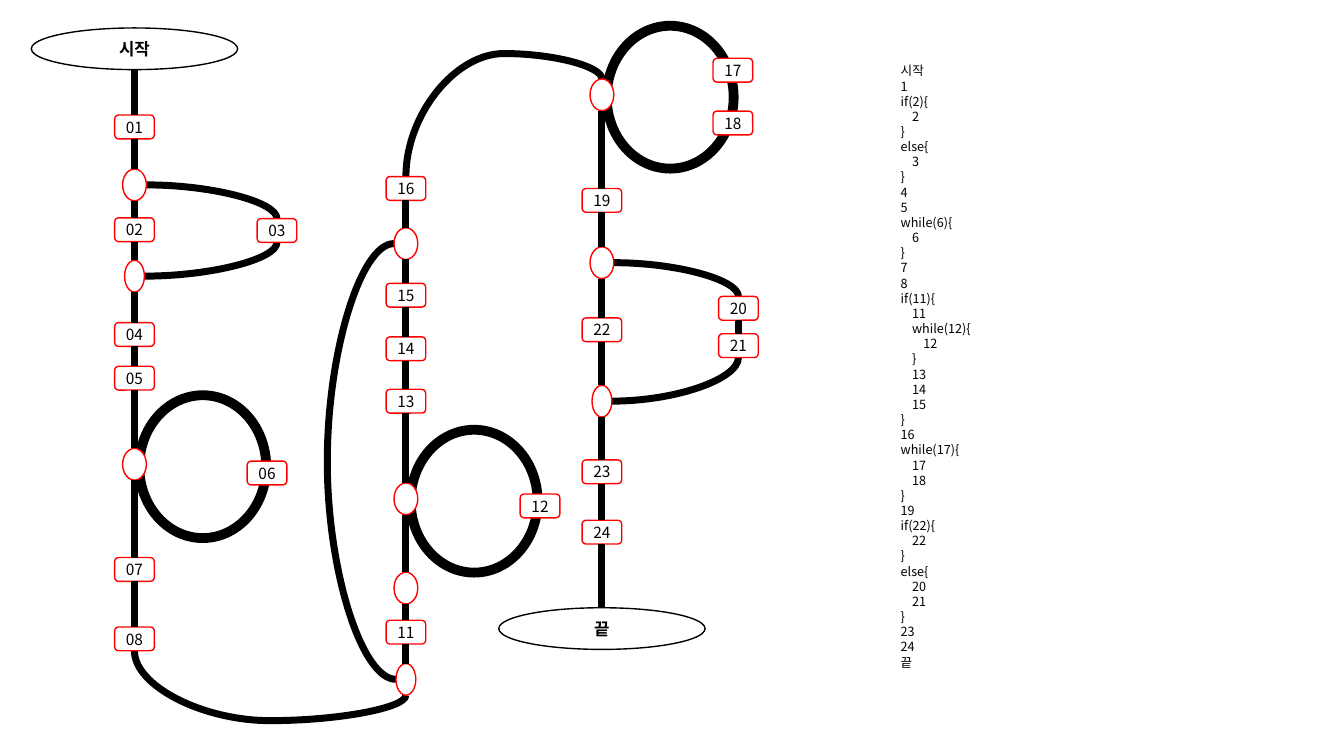
from lxml import etree
from pptx import Presentation
from pptx.dml.color import RGBColor
from pptx.enum.shapes import MSO_CONNECTOR, MSO_SHAPE
from pptx.enum.text import MSO_ANCHOR, MSO_AUTO_SIZE, PP_ALIGN
from pptx.oxml.ns import qn
from pptx.util import Cm, Pt

ELLIPSE, ROUNDED = MSO_SHAPE.OVAL, MSO_SHAPE.ROUNDED_RECTANGLE
STRAIGHT, CURVE = MSO_CONNECTOR.STRAIGHT, MSO_CONNECTOR.CURVE
MIDDLE, CENTER = MSO_ANCHOR.MIDDLE, PP_ALIGN.CENTER
FIT_SHAPE = MSO_AUTO_SIZE.SHAPE_TO_FIT_TEXT

BLACK = RGBColor(0x00, 0x00, 0x00)
WHITE = RGBColor(0xFF, 0xFF, 0xFF)
RED = RGBColor(0xFF, 0x00, 0x00)

# Sizes in cm
STEP_W, STEP_H = 1.0, 0.6
FORK_W, JOIN_W, NODE_H = 0.6, 0.5, 0.8
LOOP_DX, LOOP_DY = 1.72, 0.06

# Columns: x, then (kind or label, y) from top to bottom
X1, X2, X3 = 3.39, 10.23, 15.17
COLUMNS = [
    (X1, [("시작", 1.23), ("01", 3.2), ("fork", 4.66), ("02", 5.79),
          ("join", 6.96), ("04", 8.43), ("05", 9.53), ("loop", 11.7),
          ("07", 14.35), ("08", 16.1)]),
    (X2, [("16", 4.75), ("fork", 6.14), ("15", 7.44), ("14", 8.79),
          ("13", 10.11), ("loop", 12.57), ("fork", 14.82), ("11", 15.93),
          ("join", 17.12)]),
    (X3, [("loop", 2.39), ("19", 5.05), ("fork", 6.62), ("22", 8.31),
          ("join", 10.11), ("23", 11.89), ("24", 13.41), ("끝", 15.84)]),
]
SIDE_STEPS = [("03", 6.98, 5.81), ("06", 6.73, 11.92), ("12", 13.61, 12.75),
              ("17", 18.47, 1.77), ("18", 18.47, 3.1),
              ("20", 18.61, 7.77), ("21", 18.61, 8.71)]
# Branches: column x, fork y, join y, side x, top and bottom step y
BRANCHES = [(X1, 4.66, 6.96, 6.98, 5.81, 5.81),
            (X3, 6.62, 10.11, 18.61, 7.77, 8.71)]

CODE = """시작
1
if(2){
    2
}
else{
    3
}
4
5
while(6){
    6
}
7
8
if(11){
    11
    while(12){
        12
    }
    13
    14
    15
}
16
while(17){
    17
    18
}
19
if(22){
    22
}
else{
    20
    21
}
23
24
끝"""


class FlowSlide:
    font = "Noto Sans CJK KR"
    path_width = Pt(5)

    def __init__(self, s):
        self.s = s

    def style(self, p, size, bold=False):
        p.font.size, p.font.bold, p.font.name = Pt(size), bold, self.font
        p.font.color.rgb = BLACK
        props = p._p.pPr.find(qn("a:defRPr"))
        etree.SubElement(props, qn("a:ea")).set("typeface", self.font)

    def shape(self, kind, x, y, w, h, line, width, fill=None):
        sp = self.s.shapes.add_shape(kind, Cm(x - w / 2), Cm(y - h / 2), Cm(w), Cm(h))
        sp.shadow.inherit = False
        sp.line.color.rgb, sp.line.width = line, Pt(width)
        if fill is None:
            sp.fill.background()
        else:
            sp.fill.solid()
            sp.fill.fore_color.rgb = fill
        return sp

    def label(self, sp, text, size, bold=False):
        tf = sp.text_frame
        tf.margin_left = tf.margin_right = tf.margin_top = tf.margin_bottom = 0
        tf.vertical_anchor = MIDDLE
        p = tf.paragraphs[0]
        p.text, p.alignment = text, CENTER
        self.style(p, size, bold)
        return sp

    def step(self, text, x, y):
        sp = self.shape(ROUNDED, x, y, STEP_W, STEP_H, RED, 1, WHITE)
        return self.label(sp, text, 11)

    def terminal(self, text, x, y):
        return self.label(self.shape(ELLIPSE, x, y, 5.2, 1.05, BLACK, 1), text, 12, True)

    def node(self, x, y, w):
        return self.shape(ELLIPSE, x, y, w, NODE_H, RED, 1, WHITE)

    def loop(self, x, y):
        self.shape(ELLIPSE, x + LOOP_DX, y + LOOP_DY, 3.2, 3.6, BLACK, 7)

    def item(self, name, x, y):
        if name.isdigit():
            return self.step(name, x, y)
        if name in ("fork", "loop", "join"):
            return self.node(x, y, JOIN_W if name == "join" else FORK_W)
        return self.terminal(name, x, y)

    def connector(self, kind, *ends):
        c = self.s.shapes.add_connector(kind, *ends)
        c.line.color.rgb, c.line.width = BLACK, self.path_width
        etree.SubElement(c._element.spPr, qn("a:effectLst"))
        return c

    def link(self, upper, lower):
        c = self.connector(STRAIGHT, upper.left + upper.width // 2, upper.top + upper.height,
                           lower.left + lower.width // 2, lower.top)
        if upper.auto_shape_type == ROUNDED:
            c.begin_connect(upper, 2)
        if lower.auto_shape_type == ROUNDED:
            c.end_connect(lower, 0)

    def quarter_curve(self, x1, y1, x2, y2):
        c = self.connector(CURVE, Cm(x1), Cm(y1), Cm(x2), Cm(y2))
        c._element.spPr.find(qn("a:prstGeom")).set("prst", "curvedConnector2")

    def bent_curve(self, x1, y1, x2, y2, bend, vertical=False):
        """Curve that turns at bend: a y if it leaves vertically, else an x."""
        start, end = (y1, y2) if vertical else (x1, x2)
        if vertical:  # ends of the frame before its quarter turn
            cx, cy, dx, dy = (x1 + x2) / 2, (y1 + y2) / 2, (x2 - x1) / 2, (y2 - y1) / 2
            x1, y1, x2, y2 = cx - dy, cy + dx, cx + dy, cy - dx
        c = self.connector(CURVE, Cm(x1), Cm(y1), Cm(x2), Cm(y2))
        if vertical:
            c._element.spPr.find(qn("a:xfrm")).set("rot", "5400000")
        geom = c._element.spPr.find(qn("a:prstGeom"))
        guides = geom.find(qn("a:avLst"))
        if guides is None:
            guides = etree.SubElement(geom, qn("a:avLst"))
        adj = round((bend - start) / (end - start) * 100000)
        etree.SubElement(guides, qn("a:gd"), name="adj1", fmla=f"val {adj}")

    def code(self, text, x, y, w, h):
        tf = self.s.shapes.add_textbox(Cm(x), Cm(y), Cm(w), Cm(h)).text_frame
        tf.word_wrap, tf.auto_size = True, FIT_SHAPE
        for i, line in enumerate(text.split("\n")):
            p = tf.add_paragraph() if i else tf.paragraphs[0]
            p.text, p.line_spacing = line, Pt(10.82)
            self.style(p, 9)


def main():
    prs = Presentation()
    prs.slide_width, prs.slide_height = Cm(33.87), Cm(19.05)
    flow = FlowSlide(prs.slides.add_slide(prs.slide_layouts[6]))

    # Loops
    for x, items in COLUMNS:
        for name, y in items:
            if name == "loop":
                flow.loop(x, y)

    # Branches
    for x, fork, join, side, top, bottom in BRANCHES:
        flow.quarter_curve(x + FORK_W / 2, fork, side, top - STEP_H / 2)
        flow.quarter_curve(x + JOIN_W / 2, join, side, bottom + STEP_H / 2)

    # Curves between columns, and the bypass of steps 11 to 15
    flow.bent_curve(X2, 17.52, X1, 16.4, 18.16, vertical=True)
    flow.bent_curve(X2, 4.45, X3, 1.99, 1.35, vertical=True)
    flow.bent_curve(X2 - JOIN_W / 2, 17.12, X2 - FORK_W / 2, 6.14, 8.25)

    # Columns
    for x, items in COLUMNS:
        shapes = [flow.item(name, x, y) for name, y in items]
        for upper, lower in zip(shapes, shapes[1:]):
            flow.link(upper, lower)

    # Side steps
    side = {name: flow.step(name, x, y) for name, x, y in SIDE_STEPS}
    flow.link(side["20"], side["21"])

    # Code
    flow.code(CODE, 22.45, 1.47, 6.27, 15.65)
    prs.save("out.pptx")


if __name__ == "__main__":
    main()
